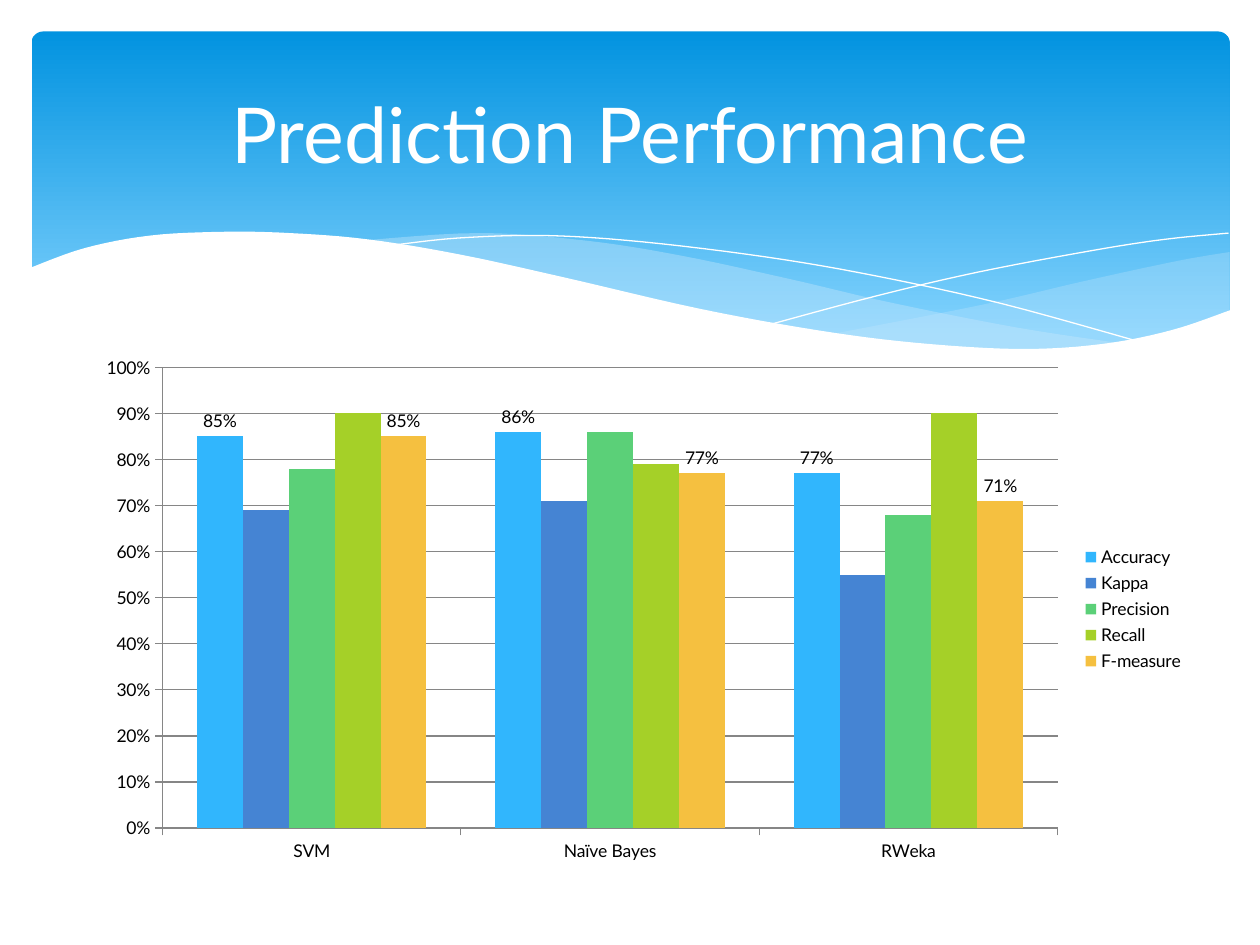
"""Build the prediction performance slide: a wave banner over a column chart."""
import lxml.etree
import pptx
import pptx.chart.data
import pptx.dml.color
import pptx.enum.chart
import pptx.enum.shapes
import pptx.enum.text
import pptx.oxml.ns
import pptx.util

theme = {
    "font": "Lato", "title": 44, "label": 10,
    "text": "000000", "white": "FFFFFF", "grid": "868686",
    "top": "0293E0", "base": "83D3FE", "wave": "C6E7FC",
    "bars": ["31B6FD", "4584D3", "5BD078", "A5D028", "F5C040"],
}
rgb = pptx.dml.color.RGBColor.from_string
qn = pptx.oxml.ns.qn

deck = pptx.Presentation()
deck.slide_width = pptx.util.Inches(10)
deck.slide_height = pptx.util.Inches(7.5)
unit = deck.slide_width // 10
slide = deck.slides.add_slide(deck.slide_layouts[5])
shapes = slide.shapes


def curve(knots, steps=6):
    """Return points on a smooth curve through the knots."""
    ends = [knots[0], *knots, knots[-1]]
    points = [knots[0]]
    for a, b, c, d in zip(ends, ends[1:], ends[2:], ends[3:]):
        for step in range(1, steps + 1):
            t = step / steps
            points.append(tuple(
                (2 * q + (r - p) * t + (2 * p - 5 * q + 4 * r - s) * t ** 2
                 + (3 * q - p - 3 * r + s) * t ** 3) / 2
                for p, q, r, s in zip(a, b, c, d)))
    return points


def style(font, size, color):
    """Apply the theme font with a size and a colour."""
    for name, value in {"name": theme["font"], "size": pptx.util.Pt(size)}.items():
        setattr(font, name, value)
    font.color.rgb = rgb(color)


panel = shapes.add_shape(
    pptx.enum.shapes.MSO_SHAPE.ROUNDED_RECTANGLE,
    *[int(n * unit) for n in (0.25, 0.25, 9.51, 2.7)])
panel.adjustments[0] = 0.034
panel.shadow.inherit = False
panel.line.fill.background()
panel.fill.gradient()
panel.fill.gradient_angle = 270
for stop, place, color in zip(panel.fill.gradient_stops, (0, 0.9), ("top", "base")):
    stop.position = place
    stop.color.rgb = rgb(theme[color])

waves = [
    {"edges": [[(9.76, 2), (9.35, 2.07), (8.61, 2.23), (7.79, 2.42), (6.61, 2.65)],
               [(6.61, 2.65), (7.32, 2.74), (8.03, 2.78), (8.72, 2.74),
                (9.28, 2.63), (9.76, 2.47)]],
     "fill": "wave", "alpha": 29},
    {"edges": [[(8.93, 2.73), (8.07, 2.6), (7.06, 2.4), (6.29, 2.22), (5.41, 2.03),
                (4.65, 1.91), (3.8, 1.85), (2.86, 1.91)],
               [(2.86, 1.91), (3.62, 2.03), (4.49, 2.22), (5.3, 2.4), (6.18, 2.58),
                (7.09, 2.72), (7.96, 2.78), (8.93, 2.73)]],
     "fill": "wave", "alpha": 40},
    {"edges": [[(3.09, 1.95), (3.63, 1.89), (4.33, 1.87), (5.1, 1.92), (6.08, 2.04),
                (6.95, 2.19), (7.95, 2.41), (9.07, 2.72)]]},
    {"edges": [[(6.13, 2.57), (6.95, 2.35), (7.76, 2.16), (8.66, 1.99),
                (9.24, 1.9), (9.75, 1.85)]]},
    {"edges": [[(9.77, 2.46), (9.3, 2.62), (8.75, 2.73), (8.09, 2.77), (7.26, 2.72),
                (6.48, 2.62), (5.55, 2.45), (4.47, 2.2), (3.65, 2.02), (2.92, 1.9),
                (2.3, 1.85), (1.77, 1.84), (1.19, 1.87), (0.67, 1.97), (0.23, 2.13)],
               [(0.23, 3.29)], [(9.77, 3.29)]],
     "fill": "white", "alpha": 100},
]
for wave in waves:
    points = [point for edge in wave["edges"]
              for point in (curve(edge) if len(edge) > 1 else edge)]
    spots = [(x * unit, y * unit) for x, y in points]
    pen = shapes.build_freeform(*spots[0])
    pen.add_line_segments(spots[1:], close="fill" in wave)
    form = pen.convert_to_shape()
    form.shadow.inherit = False
    if "fill" in wave:
        form.fill.solid()
        form.fill.fore_color.rgb = rgb(theme[wave["fill"]])
        form.line.fill.background()
        tint = form.fill._xPr.find(qn("a:solidFill"))[0]
        lxml.etree.SubElement(tint, qn("a:alpha")).set("val", str(wave["alpha"] * 1000))
    else:
        form.fill.background()
        form.line.color.rgb = rgb(theme["white"])
        form.line.width = 0

title = shapes.title
spots = [int(n * unit) for n in (0.5, 0.37, 9, 1.37)]
for name, value in zip(("left", "top", "width", "height"), spots):
    setattr(title, name, value)
title.text = "Prediction Performance"
title.text_frame.vertical_anchor = pptx.enum.text.MSO_ANCHOR.MIDDLE
para = title.text_frame.paragraphs[0]
para.alignment = pptx.enum.text.PP_ALIGN.CENTER
style(para.runs[0].font, theme["title"], theme["white"])
shapes.element.append(title.element)

data = pptx.chart.data.CategoryChartData(number_format="0%")
data.categories = ["SVM", "Naïve Bayes", "RWeka"]
scores = {
    "Accuracy": (0.85, 0.86, 0.77),
    "Kappa": (0.69, 0.71, 0.55),
    "Precision": (0.78, 0.86, 0.68),
    "Recall": (0.9, 0.79, 0.9),
    "F-measure": (0.85, 0.77, 0.71),
}
for name, vals in scores.items():
    data.add_series(name, vals)
chart = shapes.add_chart(
    pptx.enum.chart.XL_CHART_TYPE.COLUMN_CLUSTERED,
    *[int(n * unit) for n in (0.67, 2.75, 8.83, 4.17)], data).chart
style(chart.font, theme["label"], theme["text"])
chart.has_title = False
chart.has_legend = True
chart.legend.position = pptx.enum.chart.XL_LEGEND_POSITION.RIGHT
chart.legend.include_in_layout = False

plot = chart.plots[0]
for name, value in {"gap_width": 150, "overlap": 0, "vary_by_categories": False}.items():
    setattr(plot, name, value)
for bar, color in zip(plot.series, theme["bars"]):
    bar.format.fill.solid()
    bar.format.fill.fore_color.rgb = rgb(color)
    bar.invert_if_negative = False
    if bar.name in ("Accuracy", "F-measure"):
        form = {"show_value": True, "number_format": "0%",
                "number_format_is_linked": False,
                "position": pptx.enum.chart.XL_LABEL_POSITION.OUTSIDE_END}
        for name, value in form.items():
            setattr(bar.data_labels, name, value)
        style(bar.data_labels.font, theme["label"], theme["text"])

scale = chart.value_axis
form = {"minimum_scale": 0, "maximum_scale": 1, "major_unit": 0.1,
        "has_major_gridlines": True}
for name, value in form.items():
    setattr(scale, name, value)
scale.tick_labels.number_format = "0%"
scale.tick_labels.number_format_is_linked = False
for axis in (scale, chart.category_axis):
    axis.major_tick_mark = pptx.enum.chart.XL_TICK_MARK.OUTSIDE
for part in (scale, chart.category_axis, scale.major_gridlines):
    part.format.line.color.rgb = rgb(theme["grid"])
    part.format.line.width = pptx.util.Pt(0.75)

deck.save("out.pptx")
